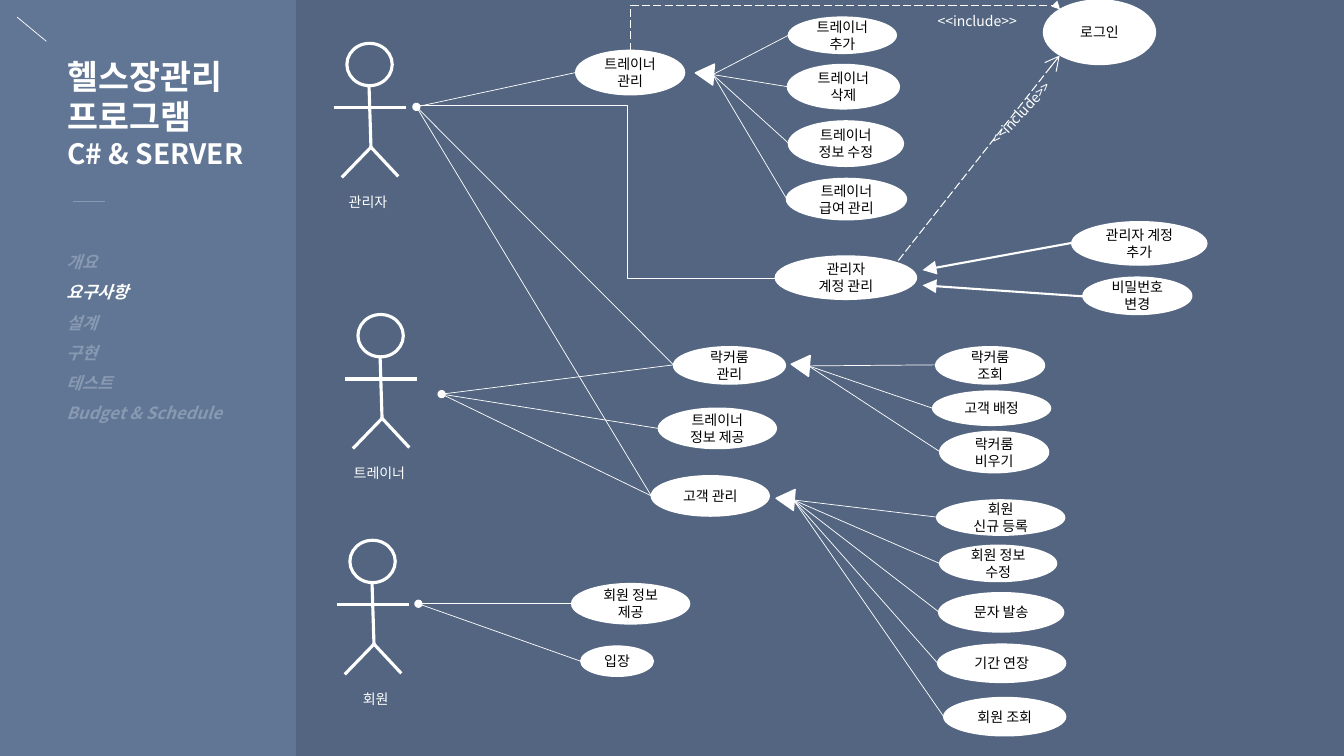
from lxml.etree import SubElement
from pptx import Presentation
from pptx.dml.color import RGBColor
from pptx.enum.dml import MSO_LINE as Dash
from pptx.enum.shapes import MSO_CONNECTOR as Link, MSO_SHAPE as Form
from pptx.enum.text import MSO_ANCHOR as Anchor, MSO_AUTO_SIZE as Auto, PP_ALIGN as Align
from pptx.oxml.ns import qn
from pptx.util import Emu, Pt

SCALE = 9144
FONT = "Noto Sans CJK KR"
WHITE, BLACK, MUTED = "FFFFFF", "000000", "8899B2"

CASES = {
    "고객 관리": (646, 472, 117, 40),
    "트레이너\n관리": (571, 50, 108, 44),
    "락커룸\n관리": (668, 344, 111, 37),
    "관리자\n계정 관리": (769, 254, 140, 43),
    "트레이너 정보 제공": (653, 405, 117, 40),
    "회원 정보 제공": (567, 579, 117, 40),
    "입장": (576, 641, 72, 30),
    "로그인": (1035, 0, 111, 64),
    "트레이너\n추가": (782, 17, 107, 36),
    "트레이너 삭제": (781, 64, 111, 44),
    "트레이너\n정보 수정": (782, 120, 114, 45),
    "트레이너\n급여 관리": (780, 177, 119, 41),
    "관리자 계정 추가": (1063, 220, 134, 43),
    "비밀번호 변경": (1074, 275, 108, 37),
    "락커룸\n조회": (928, 344, 108, 37),
    "고객 배정": (925, 388, 117, 34),
    "락커룸\n비우기": (932, 428, 108, 41),
    "회원\n신규 등록": (929, 496, 127, 35),
    "회원 정보\n수정": (932, 541, 116, 36),
    "문자 발송": (931, 588, 124, 39),
    "기간 연장": (930, 639, 127, 38),
    "회원 조회": (936, 692, 121, 38),
}
ACTORS = [
    ("관리자", 344, 43, -8, 62, (413, 106),
     ["트레이너\n관리", "락커룸\n관리", "고객 관리"]),
    ("트레이너", 355, 312, -14, 76, (438, 391),
     ["락커룸\n관리", "트레이너 정보 제공", "고객 관리"]),
    ("회원", 347, 536, 3, 48, (415, 599), ["회원 정보 제공", "입장"]),
]
LIMBS = [(22, 42, 24, 105), (-13, 64, 59, 64), (-5, 133, 24, 103), (23, 102, 51, 132)]
FANS = [
    (693, 62, ["트레이너\n추가", "트레이너 삭제", "트레이너\n정보 수정", "트레이너\n급여 관리"]),
    (788, 351, ["락커룸\n조회", "고객 배정", "락커룸\n비우기"]),
    (773, 484, ["회원\n신규 등록", "회원 정보\n수정", "문자 발송", "기간 연장", "회원 조회"]),
]
MENU = ["개요", "요구사항", "설계", "구현", "테스트", "Budget & Schedule"]


def px(*nums):
    """Turn px lengths into EMU."""
    return [Emu(num * SCALE) for num in nums]


def tint(code):
    """Give the colour of a hex string."""
    return RGBColor.from_string(code)


def style(item, **vals):
    """Set attributes from format values."""
    for key, val in vals.items():
        setattr(item, key, val)


def add_run(para, text, size, color, **fmt):
    """Add a formatted run to a paragraph."""
    run = para.add_run()
    run.text = text
    style(run.font, name=FONT, size=Pt(size), **fmt)
    run.font.color.rgb = tint(color)
    SubElement(run._r.get_or_add_rPr(), qn("a:ea"), typeface=FONT)


def add_lines(frame, lines, align=Align.LEFT, gap=None, **fmt):
    """Fill a frame with one paragraph per (text, size, color)."""
    for num, line in enumerate(lines):
        para = frame.add_paragraph() if num else frame.paragraphs[0]
        style(para, alignment=align, line_spacing=gap)
        add_run(para, *line, **fmt)


def add_note(slide, box, lines, wrap=True, turn=0, **fmt):
    """Add a text box."""
    note = slide.shapes.add_textbox(*px(*box))
    note.rotation = turn
    style(note.text_frame, word_wrap=wrap, auto_size=Auto.SHAPE_TO_FIT_TEXT)
    add_lines(note.text_frame, lines, **fmt)


def add_form(slide, kind, box, width=1, fill=True):
    """Add a white preset shape, solid or hollow."""
    form = slide.shapes.add_shape(kind, *px(*box))
    form.shadow.inherit = False
    if fill:
        form.fill.solid()
        form.fill.fore_color.rgb = tint(WHITE)
    else:
        form.fill.background()
    form.line.color.rgb = tint(WHITE)
    form.line.width = Pt(width)
    return form


def add_case(slide, text, box):
    """Add a use case ellipse."""
    frame = add_form(slide, Form.OVAL, box).text_frame
    style(frame, word_wrap=True, vertical_anchor=Anchor.MIDDLE)
    add_lines(frame, [(line, 10, BLACK) for line in text.split("\n")], Align.CENTER)


def add_link(slide, ends, width=0.5, color=WHITE, dash=None, head=None, tail=None,
             bend=None, tip="med"):
    """Add a straight or bent connector."""
    kind = Link.ELBOW if bend else Link.STRAIGHT
    link = slide.shapes.add_connector(kind, *px(*ends))
    link.line.color.rgb = tint(color)
    style(link.line, width=Pt(width), dash_style=dash)
    props = link._element.spPr
    edge = props.find(qn("a:ln"))
    for tag, mark in (("a:headEnd", head), ("a:tailEnd", tail)):
        if mark:
            SubElement(edge, qn(tag), type=mark, w=tip, len=tip)
    SubElement(props, qn("a:effectLst"))
    if bend:
        guides = props.find(qn("a:prstGeom")).find(qn("a:avLst"))
        SubElement(guides, qn("a:gd"), name="adj1", fmla=f"val {bend}")
    return link


def add_spokes(slide, start, names, head=None):
    """Link one point to the left side of each named case."""
    for num, name in enumerate(names):
        left, top, _, high = CASES[name]
        add_link(slide, (*start, left, top + high // 2), head=None if num else head)


def add_actor(slide, name, left, top, shift, wide, hand, names):
    """Add a stick figure with its label and links."""
    add_form(slide, Form.OVAL, (left, top, 45, 42), 2.25, False)
    for x1, y1, x2, y2 in LIMBS:
        add_link(slide, (left + x1, top + y1, left + x2, top + y2), 2.25)
    add_note(slide, (left + shift, top + 144, wide, 27), [(name, 10, WHITE)], False)
    add_spokes(slide, hand, names, "oval")


def add_fan(slide, left, top, names):
    """Add a triangle and the links that spread from it."""
    add_form(slide, Form.FLOWCHART_EXTRACT, (left, top, 21, 18)).rotation = 35.1
    add_spokes(slide, (left + 14, top + 12), names)


def set_back(slide):
    """Split the background into two colours."""
    fill = slide.background.fill
    fill.gradient()
    fill.gradient_angle = 0
    for stop, code in zip(fill.gradient_stops, ("617695", "536580")):
        stop.color.rgb = tint(code)
        stop.position = 0.22


def set_title(slide):
    """Place and format the title."""
    title = slide.shapes.title
    left, top, width, height = px(57, 50, 220, 125)
    style(title, left=left, top=top, width=width, height=height)
    style(title.text_frame, word_wrap=True, vertical_anchor=Anchor.TOP,
          auto_size=Auto.SHAPE_TO_FIT_TEXT)
    lines = [("헬스장관리", 24, WHITE), ("프로그램", 24, WHITE), ("C# & SERVER", 20, WHITE)]
    add_lines(title.text_frame, lines, bold=True)


def main():
    """Build the slide and save it."""
    deck = Presentation()
    deck.slide_width, deck.slide_height = px(1333, 750)
    slide = deck.slides.add_slide(deck.slide_layouts[5])
    set_back(slide)
    set_title(slide)
    add_link(slide, (17, 17, 46, 41))
    add_link(slide, (72, 200, 104, 200), color=MUTED)
    items = [(text, 12, WHITE if text == "요구사항" else MUTED) for text in MENU]
    add_note(slide, (56, 235, 243, 192), items, gap=1.5, bold=True, italic=True)
    for text, box in CASES.items():
        add_case(slide, text, box)
    for actor in ACTORS:
        add_actor(slide, *actor)
    for fan in FANS:
        add_fan(slide, *fan)
    add_link(slide, (413, 105, 769, 276), bend=58700)
    for ends in ((1074, 294, 915, 283), (1063, 241, 915, 268)):
        add_link(slide, ends, 1.5, tail="triangle", tip="lg")
    add_link(slide, (1051, 55, 889, 261), 0.75, dash=Dash.LONG_DASH, head="arrow", tip="lg")
    route = add_link(slide, (859, 243, 818, -183), 0.75, dash=Dash.LONG_DASH,
                     tail="triangle", bend=110200)
    route._element.spPr.find(qn("a:xfrm")).set("rot", "5400000")
    for box, turn in (((920, 8, 105, 27), 0), ((962, 95, 108, 27), 312.9)):
        add_note(slide, box, [("<<include>>", 10, WHITE)], turn=turn)
    deck.save("out.pptx")


if __name__ == "__main__":
    main()
